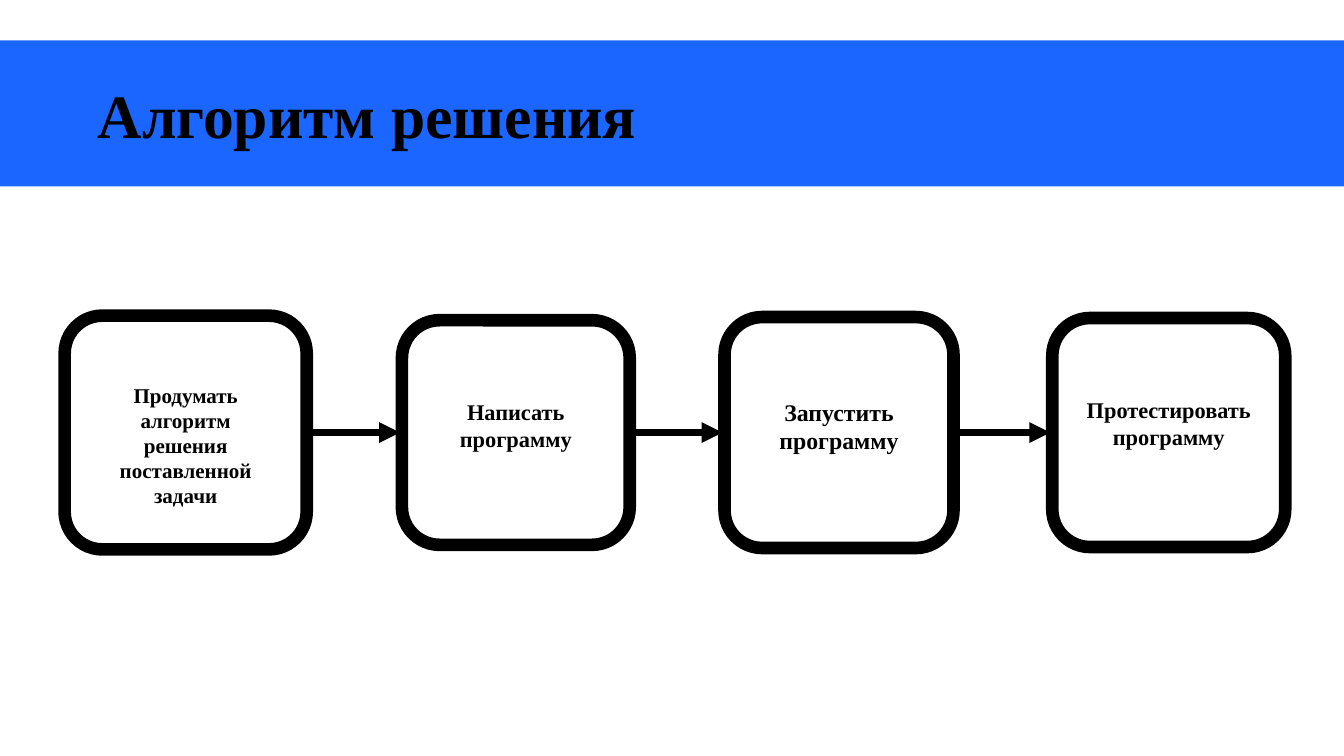
import pptx
import pptx.util
import pptx.dml.color
import pptx.enum.shapes
import pptx.enum.text
import pptx.oxml
import pptx.oxml.ns

Cm = pptx.util.Cm
Pt = pptx.util.Pt
SHAPES = pptx.enum.shapes.MSO_SHAPE
ALIGN = pptx.enum.text.PP_ALIGN
ANCHOR = pptx.enum.text.MSO_ANCHOR

TITLE = "Алгоритм решения"
# text, font size, box (left, width, height), label (top, width, height), in cm
STEPS = [
    ("Продумать алгоритм решения поставленной задачи", 15, (1.63, 6.1, 5.89), (9.5, 4.19, 3.23)),
    ("Написать программу", 16, (10.13, 5.74, 5.66), (9.91, 4.45, 1.5)),
    ("Запустить программу", 17, (18.26, 5.77, 5.82), (9.88, 4.17, 1.65)),
    ("Протестировать программу", 16, (26.52, 5.87, 5.77), (9.86, 6.45, 1.5)),
]
COLOURS = {"band": "1A66FF", "ink": "000000", "paper": "FFFFFF"}
FONT = "Times New Roman"
SLIDE_WIDTH, SLIDE_HEIGHT = 33.87, 19.05
BAND_TOP, BAND_HEIGHT = 1.02, 3.68
AXIS = 10.9
CORNER_RADIUS = 0.95
START_GAP, END_GAP = 0.1, 0.05
INSET = 0.13


def colour(name):
    return pptx.dml.color.RGBColor.from_string(COLOURS[name])


def add_box(slide, kind, place, fill, outline=None):
    box = slide.shapes.add_shape(kind, *map(Cm, place))
    box.shadow.inherit = False
    box.fill.solid()
    box.fill.fore_color.rgb = colour(fill)
    if outline:
        box.line.color.rgb = colour("ink")
        box.line.width = Pt(outline)
    else:
        box.line.fill.background()
    return box


def add_label(slide, text, place, size, align, anchor):
    frame = slide.shapes.add_textbox(*map(Cm, place)).text_frame
    frame_format = {"word_wrap": True, "vertical_anchor": anchor}
    frame_format.update({f"margin_{side}": Cm(INSET) for side in ("left", "top", "right", "bottom")})
    for name, value in frame_format.items():
        setattr(frame, name, value)
    para = frame.paragraphs[0]
    para.alignment = align
    span = para.add_run()
    span.text = text
    for name, value in {"name": FONT, "size": Pt(size), "bold": True}.items():
        setattr(span.font, name, value)
    span.font.color.rgb = colour("ink")


def add_arrow(slide, start, end):
    arrow = slide.shapes.add_connector(
        pptx.enum.shapes.MSO_CONNECTOR.STRAIGHT, Cm(start), Cm(AXIS), Cm(end), Cm(AXIS))
    arrow.line.color.rgb = colour("ink")
    arrow.line.width = Pt(5)
    head = pptx.oxml.parse_xml(f'<a:tailEnd {pptx.oxml.ns.nsdecls("a")} type="triangle"/>')
    arrow.line._get_or_add_ln().append(head)
    no_effect = pptx.oxml.parse_xml(f'<a:effectLst {pptx.oxml.ns.nsdecls("a")}/>')
    arrow._element.spPr.append(no_effect)


def main():
    deck = pptx.Presentation()
    deck.slide_width, deck.slide_height = Cm(SLIDE_WIDTH), Cm(SLIDE_HEIGHT)
    page = deck.slides.add_slide(deck.slide_layouts[6])

    add_box(page, SHAPES.RECTANGLE, (0, BAND_TOP, SLIDE_WIDTH, BAND_HEIGHT), "band")
    add_label(page, TITLE, (2.33, BAND_TOP, 29.21, BAND_HEIGHT), 44, ALIGN.LEFT, ANCHOR.MIDDLE)

    for text, size, (left, width, height), (label_top, label_width, label_height) in STEPS:
        place = (left, AXIS - height / 2, width, height)
        box = add_box(page, SHAPES.ROUNDED_RECTANGLE, place, "paper", 9)
        box.adjustments[0] = CORNER_RADIUS / min(width, height)
        label_left = left + (width - label_width) / 2
        add_label(page, text, (label_left, label_top, label_width, label_height),
                  size, ALIGN.CENTER, ANCHOR.TOP)

    edges = [(left, left + width) for _, _, (left, width, _), _ in STEPS]
    for (_, right), (next_left, _) in zip(edges, edges[1:]):
        add_arrow(page, right + START_GAP, next_left - END_GAP)

    deck.save("out.pptx")


if __name__ == "__main__":
    main()
